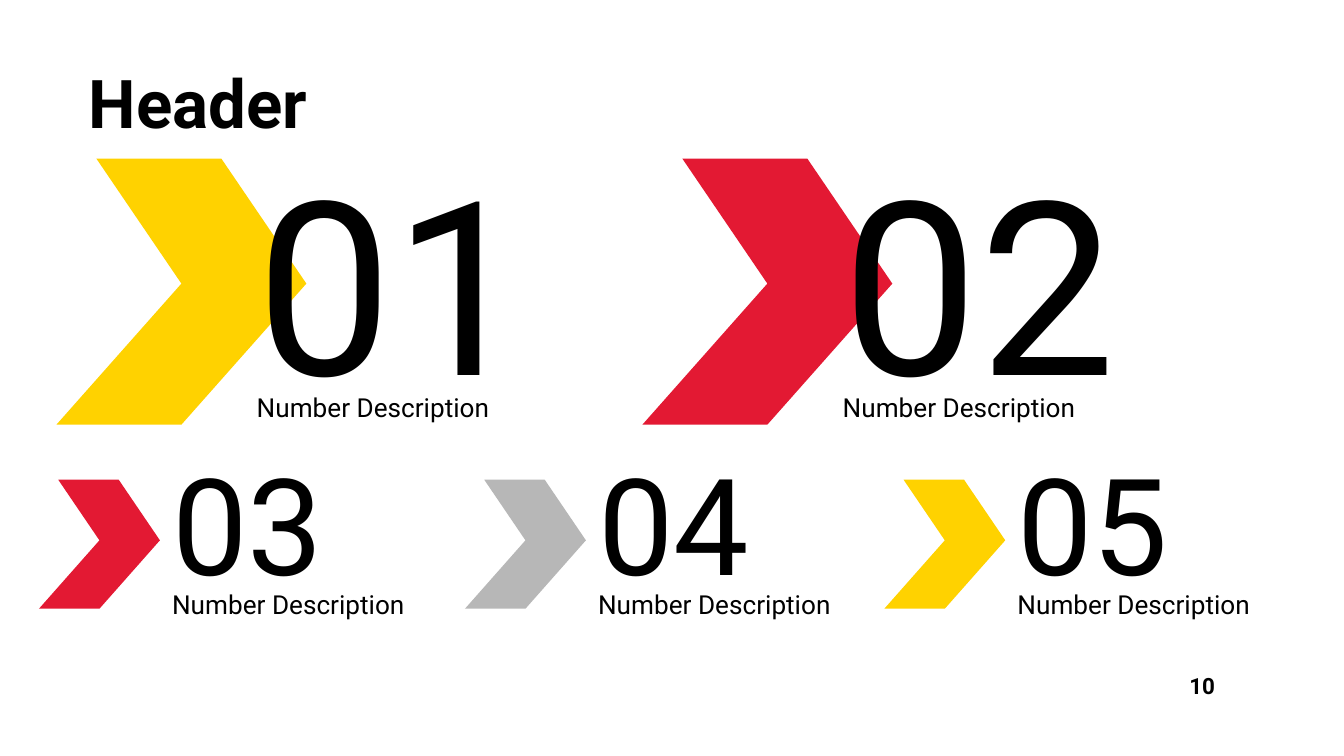
from pptx import Presentation
from pptx.dml.color import RGBColor
from pptx.enum.text import MSO_ANCHOR as Anchor, MSO_AUTO_SIZE as AutoSize, PP_ALIGN as Align
from pptx.util import Inches, Pt

THEME = {
    "font": "Roboto",
    "text": "000000",
    "yellow": "FFD200",
    "red": "E31933",
    "gray": "B7B7B7",
    "header": 36,
    "description": 14,
    "page": 12,
}

SLIDE_WIDTH = 10
SLIDE_HEIGHT = SLIDE_WIDTH * 9 / 16
HEADER = "Header"
PAGE_NUMBER = "10"
# Each row: shared geometry, then (left, number, description, colour) per item
ROWS = [
    {
        "chevron": (1.18, 1.86, 1.98),  # top, width, height
        "text_offset": 1.49,
        "number": (1.23, 3.56, 1.68),
        "number_size": 130,
        "description_top": 2.88,
        "items": [
            (0.42, "01", "Number Description", "yellow"),
            (4.78, "02", "Number Description", "red"),
        ],
    },
    {
        "chevron": (3.57, 0.9, 0.96),
        "text_offset": 0.99,
        "number": (3.43, 1.98, 0.9),
        "number_size": 72,
        "description_top": 4.34,
        "items": [
            (0.29, "03", "Number Description", "red"),
            (3.46, "04", "Number Description", "gray"),
            (6.58, "05", "Number Description", "yellow"),
        ],
    },
]
DESCRIPTION_BOX = (2.81, 0.28)
# Chevron corners as fractions of its width and height
CHEVRON = [(0.16, 0), (0.66, 0), (1, 0.47), (0.5, 1), (0, 1), (0.5, 0.47)]


def add_chevron(slide, left, top, width, height, color):
    corners = [(Inches(left + x * width), Inches(top + y * height)) for x, y in CHEVRON]
    builder = slide.shapes.build_freeform(*corners[0])
    builder.add_line_segments(corners[1:], close=True)
    shape = builder.convert_to_shape()
    shape.shadow.inherit = False
    shape.fill.solid()
    shape.fill.fore_color.rgb = RGBColor.from_string(THEME[color])
    shape.line.fill.background()


def write(shape, box, text, size, bold=False, align=Align.LEFT,
          anchor=Anchor.TOP, inset=0, spacing=1.0):
    """Place a text shape and fill it with one formatted paragraph."""
    for side, value in zip(("left", "top", "width", "height"), box):
        setattr(shape, side, Inches(value))
    frame = shape.text_frame
    frame.text = text
    frame_format = {"word_wrap": True, "auto_size": AutoSize.NONE, "vertical_anchor": anchor}
    for side in ("left", "top", "right", "bottom"):
        frame_format[f"margin_{side}"] = Inches(inset)
    paragraph = frame.paragraphs[0]
    paragraph_format = {"alignment": align, "line_spacing": spacing}
    font_format = {"name": THEME["font"], "size": Pt(size), "bold": bold}
    font = paragraph.runs[0].font
    for target, values in ((frame, frame_format), (paragraph, paragraph_format),
                           (font, font_format)):
        for name, value in values.items():
            setattr(target, name, value)
    font.color.rgb = RGBColor.from_string(THEME["text"])


def add_text(slide, box, *args, **options):
    write(slide.shapes.add_textbox(0, 0, 0, 0), box, *args, **options)


def add_row(slide, row):
    top, width, height = row["chevron"]
    number_top, *number_size = row["number"]
    for left, number, description, color in row["items"]:
        text_left = left + row["text_offset"]
        add_chevron(slide, left, top, width, height, color)
        add_text(slide, (text_left, row["description_top"], *DESCRIPTION_BOX),
                 description, THEME["description"], spacing=1.15)
        add_text(slide, (text_left, number_top, *number_size),
                 number, row["number_size"], anchor=Anchor.MIDDLE)


def main():
    presentation = Presentation()
    presentation.slide_width = Inches(SLIDE_WIDTH)
    presentation.slide_height = Inches(SLIDE_HEIGHT)
    title_only = presentation.slide_layouts[5]
    slide = presentation.slides.add_slide(title_only)

    write(slide.shapes.title, (0.66, 0.42, 9.17, 0.68), HEADER, THEME["header"],
          bold=True, anchor=Anchor.MIDDLE)
    for row in ROWS:
        add_row(slide, row)
    add_text(slide, (8.54, 4.9, 0.6, 0.43), PAGE_NUMBER, THEME["page"],
             bold=True, align=Align.RIGHT, inset=0.1)

    presentation.save("out.pptx")


if __name__ == "__main__":
    main()
